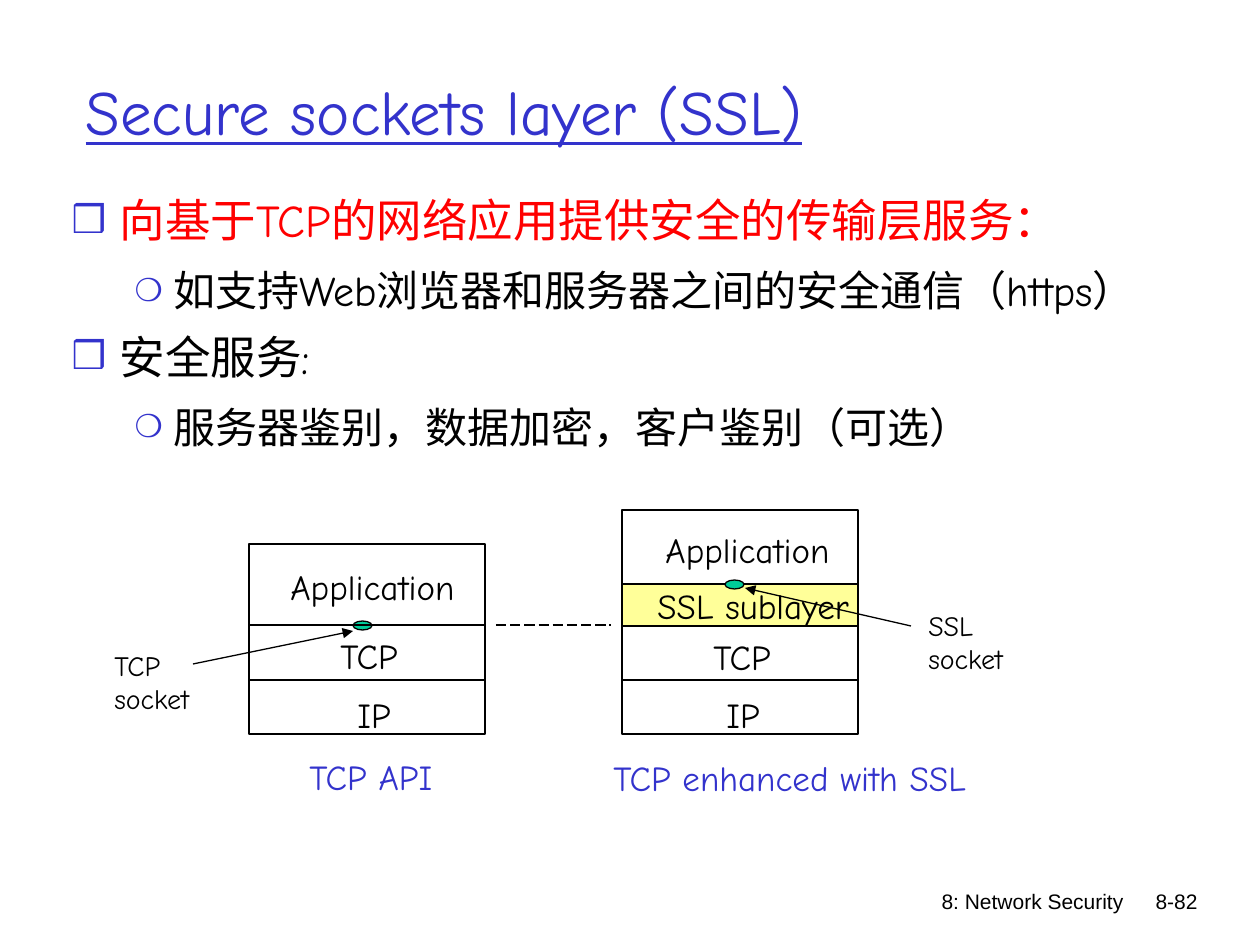
from dataclasses import dataclass

from lxml import etree
from pptx import Presentation
from pptx import util as u
from pptx.dml.color import RGBColor
from pptx.enum import dml, shapes, text
from pptx.oxml.ns import qn


@dataclass(frozen=True)
class Theme:
    hand: str = "Comic Neue"
    sans: str = "Arial"
    black: str = "000000"
    blue: str = "3333CC"
    red: str = "FF0000"
    green: str = "00CC99"
    yellow: str = "FFFF99"
    title: int = 36
    head: int = 26
    sub: int = 24
    label: int = 20
    note: int = 16
    foot: int = 12
    line: float = 0.75


T = Theme()
SCALE = 914400 / 126
WIDE = 236  # width of a protocol stack


def px(*vals):
    return [u.Emu(round(v * SCALE)) for v in vals]


def style(run, size, color=T.black, name=T.hand, **more):
    for key, val in dict(size=u.Pt(size), name=name, **more).items():
        setattr(run.font, key, val)
    run.font.color.rgb = RGBColor.from_string(color)


def add_label(slide, box, words, size=T.label, color=T.black,
              name=T.hand, align=text.PP_ALIGN.LEFT, wrap=False):
    frame = slide.shapes.add_textbox(*px(*box)).text_frame
    frame.word_wrap = wrap
    for i, line in enumerate(words.split("\n")):
        para = frame.add_paragraph() if i else frame.paragraphs[0]
        para.alignment = align
        run = para.add_run()
        run.text = line
        style(run, size, color, name)


def add_box(slide, kind, box, fill=None):
    shape = slide.shapes.add_shape(kind, *px(*box))
    shape.shadow.inherit = False
    if fill:
        shape.fill.solid()
        shape.fill.fore_color.rgb = RGBColor.from_string(fill)
    else:
        shape.fill.background()
    shape.line.color.rgb = RGBColor.from_string(T.black)
    shape.line.width = u.Pt(T.line)


def add_stack(slide, left, edges, fills):
    # Each layer spans one pair of neighbouring edges
    for top, end, fill in zip(edges, edges[1:], fills):
        add_box(slide, shapes.MSO_SHAPE.RECTANGLE, (left, top, WIDE, end - top), fill)


def add_socket(slide, left, top):
    add_box(slide, shapes.MSO_SHAPE.OVAL, (left, top, 19, 9), T.green)


def add_line(slide, ends, arrow=False, dash=None):
    line = slide.shapes.add_connector(shapes.MSO_CONNECTOR.STRAIGHT, *px(*ends))
    line.line.color.rgb = RGBColor.from_string(T.black)
    line.line.width = u.Pt(T.line)
    if dash:
        line.line.dash_style = dash
    if arrow:
        etree.SubElement(line.line._get_or_add_ln(), qn("a:tailEnd"), type="triangle")
    etree.SubElement(line._element.spPr, qn("a:effectLst"))


def place(shape, box):
    for key, val in zip(("left", "top", "width", "height"), px(*box)):
        setattr(shape, key, val)


def add_title(slide, words):
    shape = slide.shapes.title
    place(shape, (73, 32, 1071, 157))
    frame = shape.text_frame
    frame.auto_size = text.MSO_AUTO_SIZE.NONE
    frame.vertical_anchor = text.MSO_ANCHOR.MIDDLE
    para = frame.paragraphs[0]
    para.alignment = text.PP_ALIGN.LEFT
    run = para.add_run()
    run.text = words
    style(run, T.title, T.blue, underline=True)


def set_bullet(para, level):
    sign, part, left, hang = (("❒", 85, 48, 48), ("❍", 75, 102, 39))[level]
    props = para._p.get_or_add_pPr()
    for key, val in zip(("marL", "indent"), px(left, -hang)):
        props.set(key, str(val))
    color = etree.SubElement(props, qn("a:buClr"))
    etree.SubElement(color, qn("a:srgbClr"), val=T.blue)
    etree.SubElement(props, qn("a:buSzPct"), val=str(part * 1000))
    etree.SubElement(props, qn("a:buChar"), char=sign)


def add_list(slide, items):
    shape = slide.placeholders[1]
    place(shape, (59, 183, 1162, 278))
    frame = shape.text_frame
    frame.auto_size = text.MSO_AUTO_SIZE.NONE
    for i, (level, words, runs) in enumerate(items):
        para = frame.add_paragraph() if i else frame.paragraphs[0]
        para.level = level
        para.line_spacing = u.Pt(33)
        para.space_before = u.Pt(6 if i else 0)
        set_bullet(para, level)
        run = para.add_run()
        run.text = words
        style(run, *runs)


def main():
    deck = Presentation()
    deck.slide_width, deck.slide_height = px(1260, 945)
    slide = deck.slides.add_slide(deck.slide_layouts[1])

    # Title and list
    add_title(slide, "Secure sockets layer (SSL)")
    add_list(slide, [
        (0, "向基于TCP的网络应用提供安全的传输层服务：", (T.head, T.red)),
        (1, "如支持Web浏览器和服务器之间的安全通信（https）", (T.sub,)),
        (0, "安全服务:", (T.head,)),
        (1, "服务器鉴别，数据加密，客户鉴别（可选）", (T.sub,)),
    ])

    # Plain TCP stack
    add_socket(slide, 353, 621)
    add_line(slide, (193, 664, 353, 631), arrow=True)
    add_stack(slide, 249, (544, 625, 680, 734), (None,) * 3)

    # Stack with the SSL sublayer
    add_stack(slide, 622, (510, 584, 626, 680, 734), (None, T.yellow, None, None))
    add_socket(slide, 725, 580)

    # Layer names
    for words, left, top, width in (
        ("Application", 278, 559, 194),
        ("TCP", 328, 628, 90),
        ("IP", 345, 687, 70),
        ("Application", 653, 522, 194),
        ("SSL sublayer", 645, 578, 222),
        ("TCP", 701, 629, 90),
        ("IP", 714, 687, 70),
    ):
        add_label(slide, (left, top, width, 55), words)
    add_line(slide, (911, 626, 745, 588), arrow=True)
    add_line(slide, (496, 625, 611, 625), dash=dml.MSO_LINE.LONG_DASH)

    # Captions and socket notes
    add_label(slide, (297, 749, 160, 55), "TCP API", color=T.blue)
    add_label(slide, (601, 750, 390, 55), "TCP enhanced with SSL", color=T.blue)
    add_label(slide, (102, 642, 144, 81), "TCP\nsocket", T.note, wrap=True)
    add_label(slide, (916, 602, 110, 81), "SSL\nsocket", T.note)

    # Footer
    for words, box in (("8: Network Security", (737, 882, 399, 63)),
                       ("8-82", (1109, 882, 101, 40))):
        add_label(slide, box, words, T.foot, name=T.sans,
                  align=text.PP_ALIGN.RIGHT, wrap=True)

    deck.save("out.pptx")


if __name__ == "__main__":
    main()
